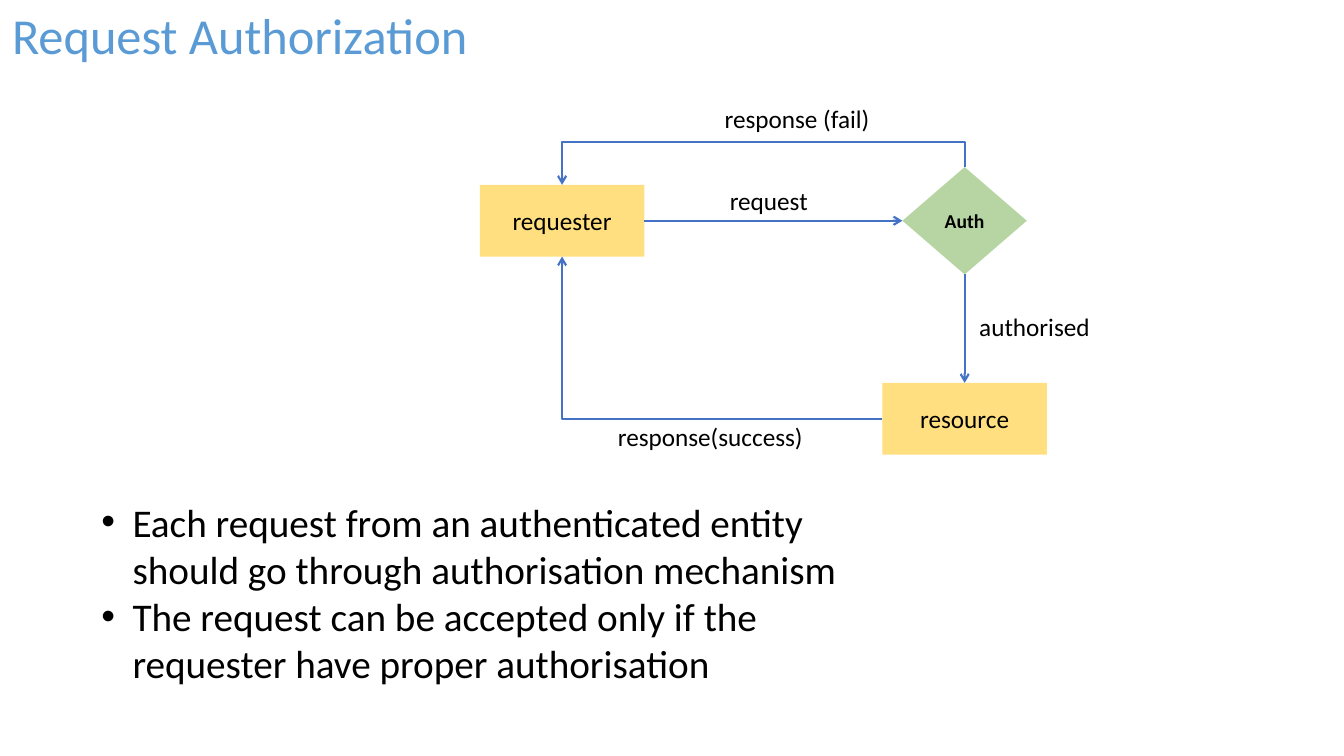
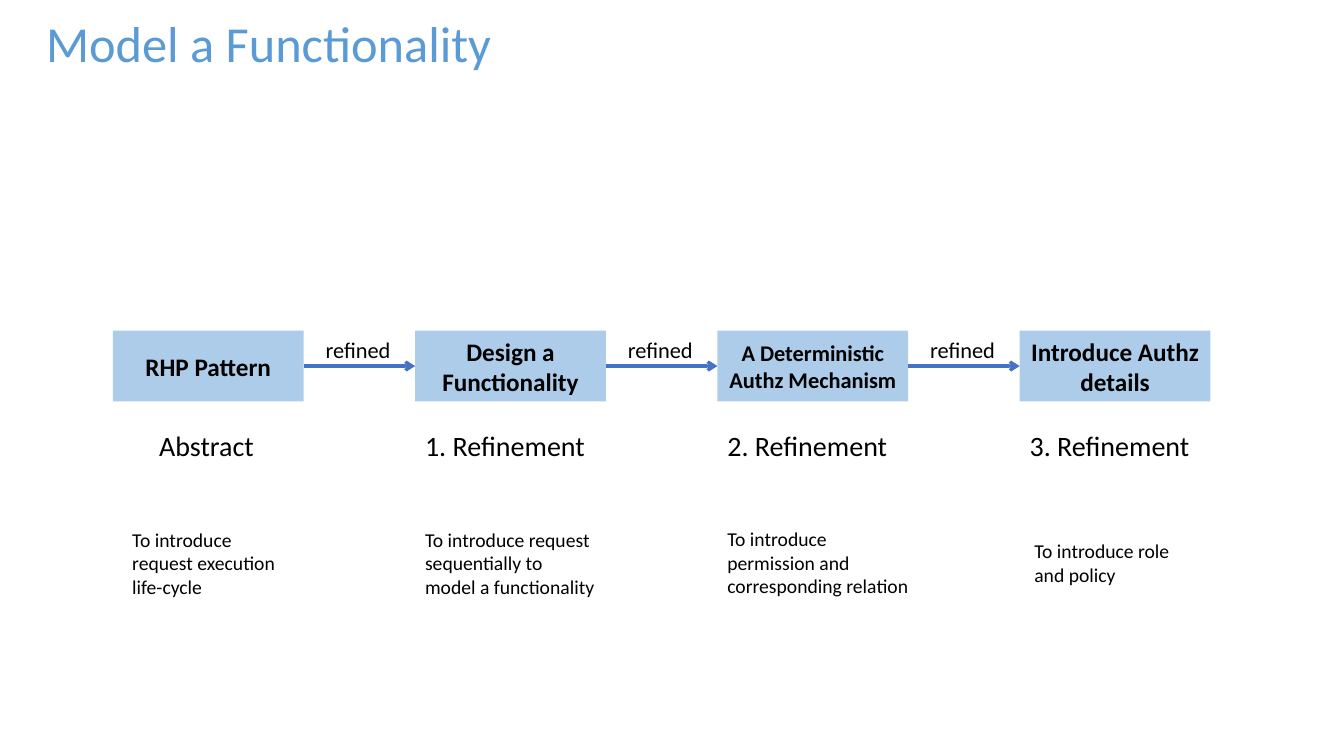
from collections import namedtuple

from lxml import etree
from pptx import Presentation
from pptx import util as u
from pptx.dml.color import RGBColor
from pptx.enum import shapes, text
from pptx.oxml.ns import qn

FONT = "Calibri"
BLACK = RGBColor(0x00, 0x00, 0x00)
TITLE = RGBColor(0x5B, 0x9B, 0xD5)
STEP = RGBColor(0x5B, 0x9B, 0xD5)
ENTITY = RGBColor(0xFF, 0xC0, 0x00)
CHECK = RGBColor(0x70, 0xAD, 0x47)
ARROW = RGBColor(0x44, 0x72, 0xC4)

WIDTH, HEIGHT = u.Inches(13.33), u.Inches(7.5)
COL, ROW = WIDTH / 100, HEIGHT / 100
TOP, LEFT, BOTTOM, RIGHT = range(4)

CENTER, START = text.PP_ALIGN.CENTER, text.PP_ALIGN.LEFT
RECT, DIAMOND = shapes.MSO_SHAPE.RECTANGLE, shapes.MSO_SHAPE.DIAMOND
STRAIGHT, ELBOW = shapes.MSO_CONNECTOR.STRAIGHT, shapes.MSO_CONNECTOR.ELBOW


class Box(namedtuple("Box", "x y w h")):
    """A region measured in columns and rows of the slide grid."""

    def sub(self, x, y, w, h):
        """Return a box whose corner is offset from this one."""
        return Box(self.x + x, self.y + y, w, h)

    def emu(self):
        """Return left, top, width and height in EMU."""
        return [round(n * cell) for n, cell in zip(self, (COL, ROW, COL, ROW))]


def write(tf, *lines, size=18, color=BLACK, bold=False, align=CENTER, wrap=True, bullet=None):
    """Fill a text frame with one paragraph for each line."""
    tf.word_wrap = wrap
    for i, line in enumerate(lines):
        p = tf.add_paragraph() if i else tf.paragraphs[0]
        p.alignment = align
        r = p.add_run()
        r.text = line
        r.font.name, r.font.size, r.font.bold = FONT, u.Pt(size), bold
        r.font.color.rgb = color
        if bullet:
            pPr = p._p.get_or_add_pPr()
            indent = u.Inches(0.31)
            pPr.set("marL", str(indent))
            pPr.set("indent", str(-indent))
            etree.SubElement(pPr, qn("a:buFont"), typeface="Arial")
            etree.SubElement(pPr, qn("a:buChar"), char=bullet)


def add_label(slide, box, *lines, **style):
    """Add a text box."""
    sp = slide.shapes.add_textbox(*box.emu())
    write(sp.text_frame, *lines, **style)
    return sp


def add_node(slide, box, line, fill, kind=RECT, **style):
    """Add a half-transparent shape with centred text."""
    sp = slide.shapes.add_shape(kind, *box.emu())
    sp.shadow.inherit = False
    sp.fill.solid()
    sp.fill.fore_color.rgb = fill
    clr = sp.fill._xPr.find(qn("a:solidFill"))[0]
    etree.SubElement(clr, qn("a:alpha"), val="50000")
    sp.line.fill.background()
    sp.text_frame.vertical_anchor = text.MSO_ANCHOR.MIDDLE
    write(sp.text_frame, line, **style)
    return sp


def add_arrow(slide, source, target, kind=STRAIGHT, width=1.5):
    """Connect two (shape, site) pairs with an arrow."""
    sp = slide.shapes.add_connector(kind, 0, 0, 0, 0)
    sp.begin_connect(*source)
    sp.end_connect(*target)
    sp.line.color.rgb = ARROW
    sp.line.width = u.Pt(width)
    etree.SubElement(sp.line._get_or_add_ln(), qn("a:tailEnd"), type="arrow")
    etree.SubElement(sp._element.spPr, qn("a:effectLst"))
    return sp


def bend_once(sp):
    """Give an elbow a single corner."""
    sp._element.spPr.find(qn("a:prstGeom")).set("prst", "bentConnector2")


def bend_over(sp, rise):
    """Turn a leftward elbow so that it leaves upward by the given rise."""
    x, y, w, h = sp.left, sp.top, sp.width, sp.height
    sp.left, sp.top = x + (w - h) // 2, y + (h - w) // 2
    sp.width, sp.height = h, w
    xfrm = sp._element.spPr.find(qn("a:xfrm"))
    for name, value in (("rot", "16200000"), ("flipH", "1"), ("flipV", "1")):
        xfrm.set(name, value)
    av = sp._element.spPr.find(qn("a:prstGeom")).get_or_add_avLst()
    etree.SubElement(av, qn("a:gd"), name="adj1", fmla=f"val {round(-rise / h * 100000)}")


def new_slide(prs, title, box):
    """Add a blank slide with the shared title style."""
    slide = prs.slides.add_slide(prs.slide_layouts[6])
    add_label(slide, box, title, size=36, color=TITLE, wrap=False)
    return slide


def authorization_flow(slide, box):
    """Draw the request loop between requester, check and resource."""
    w, h = 12.25, 9.5
    requester = add_node(slide, box.sub(0, 11.4, w, h), "requester", ENTITY)
    resource = add_node(slide, box.sub(29.95, 37.6, w, h), "resource", ENTITY)
    auth = add_node(slide, box.sub(31.45, 9.05, 9.25, 14.2), "Auth", CHECK,
                    kind=DIAMOND, size=14, bold=True)
    add_arrow(slide, (requester, RIGHT), (auth, LEFT))
    add_arrow(slide, (auth, BOTTOM), (resource, TOP))
    fail = add_arrow(slide, (auth, TOP), (requester, TOP), kind=ELBOW)
    bend_over(fail, u.Inches(0.25))
    bend_once(add_arrow(slide, (resource, LEFT), (requester, BOTTOM), kind=ELBOW))
    for line, x, y, width in (
        ("request", 16.9, 10.8, 9.2),
        ("response(success)", 9.1, 42, 16.1),
        ("response (fail)", 17.2, 0, 12.8),
        ("authorised", 36.1, 27.5, 10.35),
    ):
        add_label(slide, box.sub(x, y, width, 5.3), line)


def refinement_chain(slide, box, steps):
    """Draw the refinement steps in equal columns joined by arrows."""
    pitch, w, h = 22.49, 14.2, 9.35
    last = None
    for i, (name, size, stage, stage_at, goal, goal_at) in enumerate(steps):
        x = i * pitch
        node = add_node(slide, box.sub(x, 0, w, h), name, STEP, size=size, bold=True)
        add_label(slide, box.sub(x + stage_at[0], 12.25, stage_at[1], 5.9), stage,
                  size=20, align=START)
        dx, y, width = goal_at
        add_label(slide, box.sub(x + dx, y, width, 10.8), goal, size=14, align=START)
        if last:
            add_arrow(slide, (last, RIGHT), (node, LEFT), width=2.25)
            add_label(slide, box.sub(x - 7.4, 0, 6.5, 4.9), "refined", size=16, align=START)
        last = node


def main():
    """Build and save the presentation."""
    prs = Presentation()
    prs.slide_width, prs.slide_height = WIDTH, HEIGHT

    slide = new_slide(prs, "Request Authorization", Box(0, -0.1, 35.7, 9.5))
    authorization_flow(slide, Box(35.7, 13.05, 46.4, 47.1))
    add_label(slide, Box(6.8, 65.2, 57.6, 26.5),
              "Each request from an authenticated entity should go through authorisation mechanism",
              "The request can be accepted only if the requester have proper authorisation",
              size=28, align=START, bullet="•")

    slide = new_slide(prs, "Model a Functionality", Box(2.5, 0.95, 35, 9.5))
    full = (0, 14.2)
    refinement_chain(slide, Box(8.4, 43.75, 81.67, 36.2), (
        ("RHP Pattern", 18, "Abstract", (2.7, 8.9),
         "To introduce request execution life-cycle", (0.7, 25.4, 13.5)),
        ("Design a Functionality", 18, "1. Refinement", full,
         "To introduce request sequentially to model a functionality", (0, 25.4, 14.2)),
        ("A Deterministic Authz Mechanism", 16, "2. Refinement", full,
         "To introduce permission and corresponding relation", (0, 25.3, 15.5)),
        ("Introduce Authz details", 18, "3. Refinement", full,
         "To introduce role and policy", (0.35, 26.9, 13.5)),
    ))
    prs.save("out.pptx")


if __name__ == "__main__":
    main()
